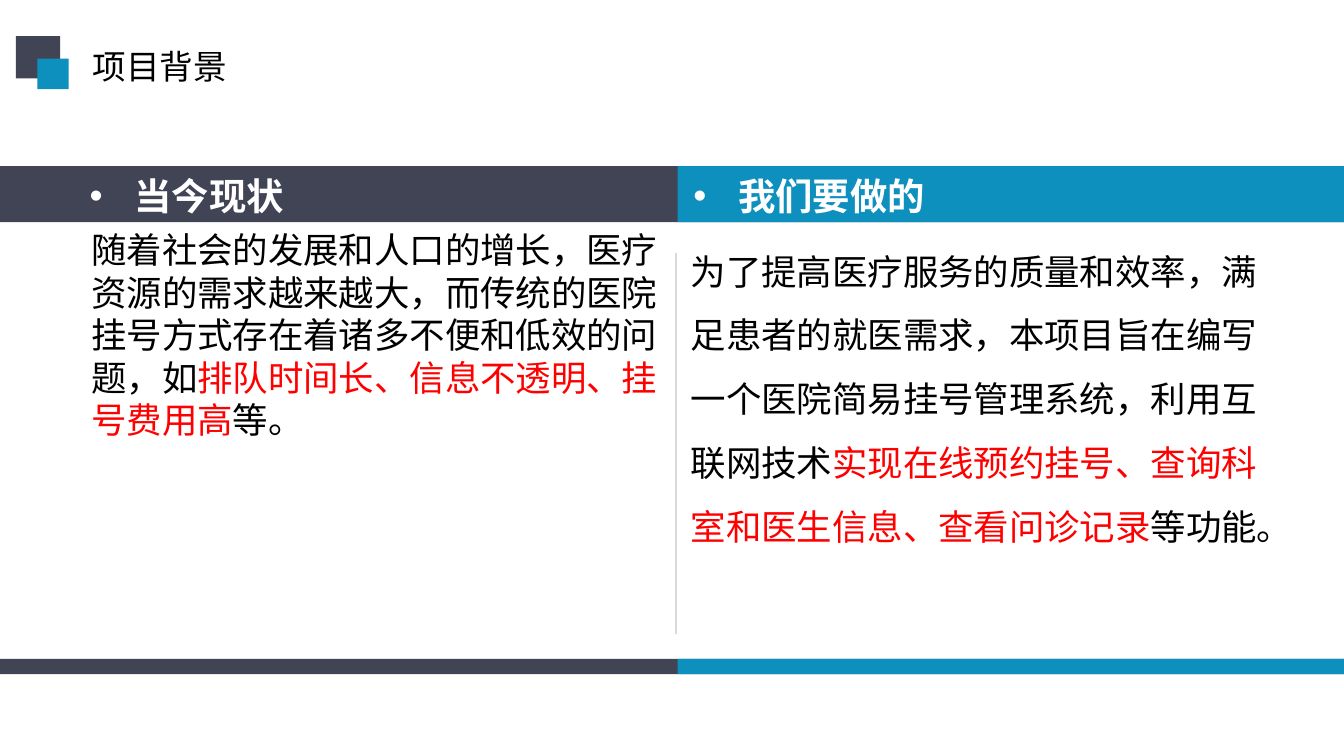
import pptx
import pptx.util
import pptx.dml.color
import pptx.enum.shapes
import pptx.enum.text
import pptx.oxml.ns
from lxml import etree

Pt = pptx.util.Pt
COLORS = {"dark": "414455", "blue": "0E90BE", "rule": "D9D9D9",
          "black": "000000", "red": "FF0000", "white": "FFFFFF"}
WIDTH, HEIGHT, SPLIT = 720, 405, 363
HEADING_FONT, BODY_FONT = "Noto Sans CJK SC", "Calibri"
HEADINGS = [("当今现状", 41), ("我们要做的", 364.3)]
BODIES = [
    (41.8, 318.2, 1, [
        ("随着社会的发展和人口的增长，医疗资源的需求越来越大，而传统的医院挂号方式存在着诸多不便和低效的问题，如", "black"),
        ("排队时间长、信息不透明、挂号费用高", "red"),
        ("等。", "black")]),
    (SPLIT, 326.2, 1.5, [
        ("为了提高医疗服务的质量和效率，满足患者的就医需求，本项目旨在编写一个医院简易挂号管理系统，利用互联网技术", "black"),
        ("实现在线预约挂号、查询科室和医生信息、查看问诊记录", "red"),
        ("等功能。", "black")]),
]


def rgb(name):
    """Return the named colour."""
    return pptx.dml.color.RGBColor.from_string(COLORS[name])


def add_block(slide, left, top, width, height, color):
    """Add a plain filled rectangle."""
    block = slide.shapes.add_shape(
        pptx.enum.shapes.MSO_SHAPE.RECTANGLE, Pt(left), Pt(top), Pt(width), Pt(height))
    block.shadow.inherit = False
    block.fill.solid()
    block.fill.fore_color.rgb = rgb(color)
    block.line.fill.background()


def add_band(slide, top, height):
    """Add a two-coloured band across the slide."""
    add_block(slide, 0, top, WIDTH, height, "dark")
    add_block(slide, SPLIT, top, WIDTH - SPLIT, height, "blue")


def add_divider(slide, x, top, bottom):
    """Add the thin vertical line between the columns."""
    line = slide.shapes.add_connector(
        pptx.enum.shapes.MSO_CONNECTOR.STRAIGHT, Pt(x), Pt(top), Pt(x), Pt(bottom))
    line.line.color.rgb = rgb("rule")
    line.line.width = Pt(0.75)
    etree.SubElement(line._element.spPr, pptx.oxml.ns.qn("a:effectLst"))


def add_span(para, text, font, size, color, bold=False):
    """Add one run with its Latin and East Asian fonts."""
    span = para.add_run()
    span.text = text
    span.font.name = font
    span.font.size = Pt(size)
    span.font.bold = bold
    span.font.color.rgb = rgb(color)
    east_asian = etree.Element(pptx.oxml.ns.qn("a:ea"), typeface=font)
    span.font._element.find(pptx.oxml.ns.qn("a:latin")).addnext(east_asian)


def add_box(slide, left, top, width, height):
    """Add a wrapping text box and return its first paragraph."""
    box = slide.shapes.add_textbox(Pt(left), Pt(top), Pt(width), Pt(height))
    box.text_frame.word_wrap = True
    return box.text_frame.paragraphs[0]


def add_heading(slide, text, left):
    """Add a bulleted column heading."""
    para = add_box(slide, left, 89.3, 318.2, 23.8)
    properties = para._p.get_or_add_pPr()
    properties.set("marL", str(Pt(24)))
    properties.set("indent", str(Pt(-24)))
    etree.SubElement(properties, pptx.oxml.ns.qn("a:buFont"), typeface="Arial")
    etree.SubElement(properties, pptx.oxml.ns.qn("a:buChar"), char="•")
    add_span(para, text, HEADING_FONT, 20, "white", True)


def add_body(slide, left, width, spacing, spans):
    """Add a column's body text."""
    para = add_box(slide, left, 118.8, width, 238.3)
    para.line_spacing = spacing
    for text, color in spans:
        add_span(para, text, BODY_FONT, 19, color)


def set_title(slide, text):
    """Place and fill the title placeholder."""
    title = slide.shapes.title
    title.left, title.top, title.width, title.height = Pt(42.5), Pt(20.9), Pt(87.1), Pt(28.8)
    title.text_frame.word_wrap = False
    title.text_frame.vertical_anchor = pptx.enum.text.MSO_ANCHOR.MIDDLE
    para = title.text_frame.paragraphs[0]
    para.alignment = pptx.enum.text.PP_ALIGN.LEFT
    add_span(para, text, HEADING_FONT, 18, "black")


def main():
    """Build and save the deck."""
    deck = pptx.Presentation()
    deck.slide_width, deck.slide_height = Pt(WIDTH), Pt(HEIGHT)
    slide = deck.slides.add_slide(deck.slide_layouts[5])
    add_band(slide, 89.1, 30)
    add_divider(slide, 362.2, 135.4, 339.8)
    add_band(slide, 353, 8.2)
    for body in BODIES:
        add_body(slide, *body)
    for heading in HEADINGS:
        add_heading(slide, *heading)
    set_title(slide, "项目背景")
    add_block(slide, 8.5, 19.3, 23.7, 22.7, "dark")
    add_block(slide, 20, 31.4, 16.8, 16.4, "blue")
    deck.save("out.pptx")


if __name__ == "__main__":
    main()
